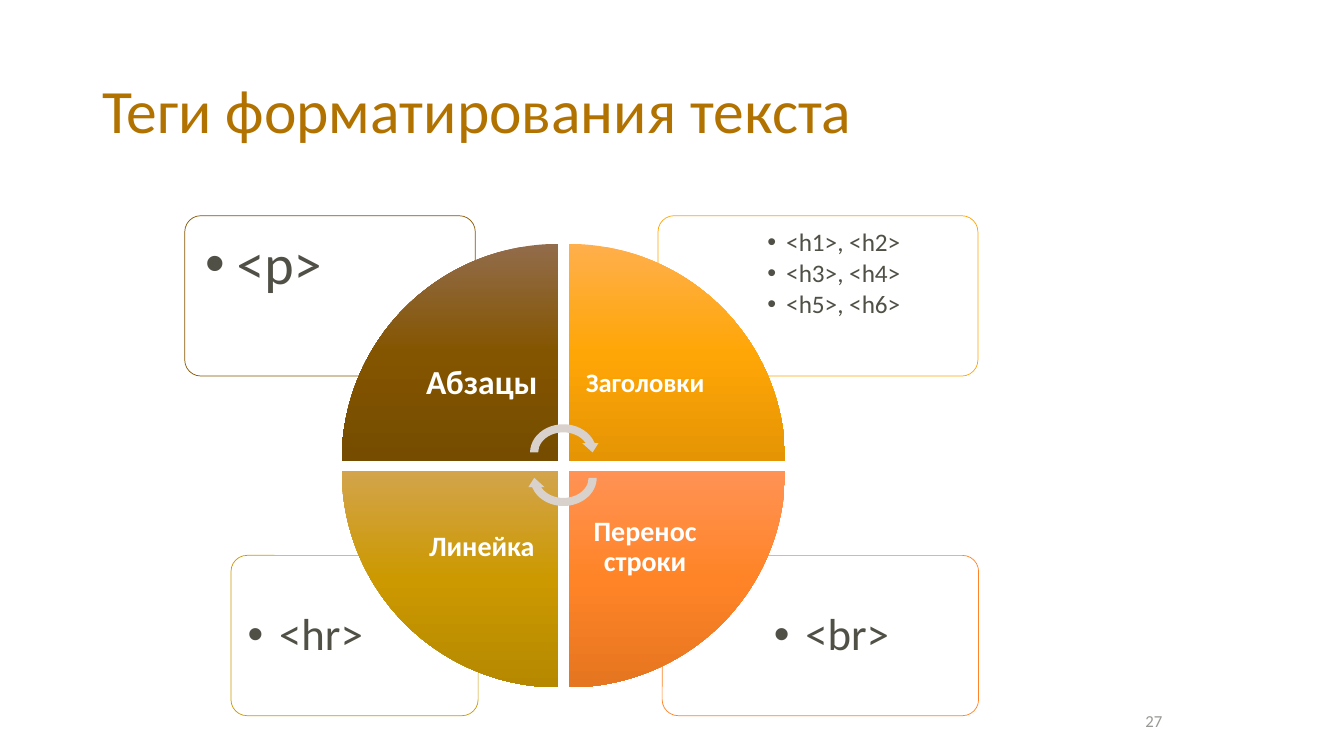
from dataclasses import dataclass

from lxml import etree
from pptx import Presentation
from pptx import util as u
from pptx.dml.color import RGBColor
from pptx.enum import shapes, text
from pptx.oxml import ns, parse_xml


@dataclass(frozen=True)
class Theme:
    font: str = "Calibri"
    title: str = "B17200"
    body: str = "505046"
    light: str = "FFFFFF"
    arrow: str = "D9D1CC"
    page: str = "989894"
    title_size: int = 44
    page_size: int = 12


@dataclass(frozen=True)
class Sector:
    label: str
    label_size: int
    label_inset: float
    tags: str
    tag_size: int
    tag_inset: float
    tag_indent: float
    column: int
    row: int
    rotation: int
    card_left: float
    card_width: float
    outline: str
    gradient: tuple[str, str, str]


@dataclass(frozen=True)
class Box:
    left: float
    top: float
    width: float
    height: float

    def lengths(self) -> list[u.Length]:
        return [u.Pt(value) for value in (self.left, self.top, self.width, self.height)]


THEME = Theme()
SECTORS = [
    Sector("Перенос строки", 20, 11.5, "<br>", 32, 9.4, 22.5, 1, 1, 180,
           473, 226, "FF8427", ("FF9254", "FF8427", "E57520")),
    Sector("Линейка", 20, 11.5, "<hr>", 32, 9.4, 22.5, 0, 1, 270,
           165, 176.5, "CC9900", ("D3A44B", "CC9900", "B58800")),
    Sector("Заголовки", 19, 10.8, "<h1>, <h2>\n<h3>, <h4>\n<h5>, <h6>", 18, 7.2, 13.5, 1, 0, 90,
           470, 228.5, "FEA608", ("FFAF4C", "FFA607", "E59404")),
    Sector("Абзацы", 24, 13.7, "<p>", 40, 12, 22.5, 0, 0, 0,
           132, 207.5, "845500", ("926C4B", "845500", "754C00")),
]

# Wheel and card geometry, in points
WHEEL_LEFT, WHEEL_TOP = 244.1, 174.2
WEDGE, PITCH, LABEL = 154.8, 162, 109.4
CARD_TOPS, CARD_HEIGHT, CARD_PAD = (154.1, 396.7), 114.5, 2.5


def add_shape(slide, kind: shapes.MSO_SHAPE, box: Box, rotation: float = 0):
    shape = slide.shapes.add_shape(kind, *box.lengths())
    shape.shadow.inherit = False
    shape.rotation = rotation
    shape.line.fill.background()
    return shape


def add_text(slide, content: str, box: Box, size: float, color: str,
             inset: float | None = None, align=text.PP_ALIGN.LEFT,
             anchor=text.MSO_ANCHOR.MIDDLE, bold: bool = False,
             spacing: float = 0.9, bullet_indent: float = 0) -> None:
    frame = slide.shapes.add_textbox(*box.lengths()).text_frame
    frame.word_wrap = True
    frame.vertical_anchor = anchor
    if inset is not None:
        frame.margin_left = frame.margin_right = u.Pt(inset)
        frame.margin_top = frame.margin_bottom = u.Pt(inset)
    frame.text = content
    for paragraph in frame.paragraphs:
        paragraph.alignment = align
        paragraph.line_spacing = spacing
        if bullet_indent:
            add_bullet(paragraph, bullet_indent)
            paragraph.space_after = u.Pt(round(size * 0.15, 1))
        for run in paragraph.runs:
            run.font.name = THEME.font
            run.font.size = u.Pt(size)
            run.font.bold = bold
            run.font.color.rgb = RGBColor.from_string(color)


def add_bullet(paragraph, indent: float) -> None:
    paragraph.level = 1
    properties = paragraph._p.get_or_add_pPr()
    properties.set("marL", str(u.Pt(indent)))
    properties.set("indent", str(-u.Pt(indent)))
    etree.SubElement(properties, ns.qn("a:buFont")).set("typeface", "Arial")
    etree.SubElement(properties, ns.qn("a:buChar")).set("char", "•")


def set_gradient(shape, colors: tuple[str, str, str]) -> None:
    stops = "".join(
        f'<a:gs pos="{index * 50000}"><a:srgbClr val="{color}"/></a:gs>'
        for index, color in enumerate(colors))
    gradient = parse_xml(
        f'<a:gradFill {ns.nsdecls("a")} rotWithShape="0"><a:gsLst>{stops}</a:gsLst>'
        '<a:lin ang="5400000" scaled="0"/></a:gradFill>')
    shape._element.spPr.find(ns.qn("a:prstGeom")).addnext(gradient)


def add_card(slide, sector: Sector) -> None:
    top = CARD_TOPS[sector.row]
    card = add_shape(slide, shapes.MSO_SHAPE.ROUNDED_RECTANGLE,
                     Box(sector.card_left, top, sector.card_width, CARD_HEIGHT))
    card.adjustments[0] = 0.1
    card.fill.solid()
    card.fill.fore_color.rgb = RGBColor.from_string(THEME.light)
    fill_color = card._element.spPr.find(ns.qn("a:solidFill"))[0]
    etree.SubElement(fill_color, ns.qn("a:alpha")).set("val", "90000")
    card.line.color.rgb = RGBColor.from_string(sector.outline)
    card.line.width = u.Pt(0.5)

    # Tags keep to the outer part of the card, clear of the wheel
    box = Box(sector.card_left + CARD_PAD + sector.column * 0.3 * sector.card_width,
              top + CARD_PAD + sector.row * 0.25 * CARD_HEIGHT,
              0.7 * sector.card_width - 2 * CARD_PAD,
              0.75 * CARD_HEIGHT - 2 * CARD_PAD)
    add_text(slide, sector.tags, box, sector.tag_size, THEME.body, sector.tag_inset,
             anchor=text.MSO_ANCHOR.TOP, bullet_indent=sector.tag_indent)


def add_wedge(slide, sector: Sector) -> None:
    left = WHEEL_LEFT + sector.column * PITCH
    top = WHEEL_TOP + sector.row * PITCH
    wedge = add_shape(slide, shapes.MSO_SHAPE.PIE_WEDGE,
                      Box(left, top, WEDGE, WEDGE), sector.rotation)
    set_gradient(wedge, sector.gradient)

    # The label sits in the corner next to the wheel's centre
    box = Box(left + (1 - sector.column) * (WEDGE - LABEL),
              top + (1 - sector.row) * (WEDGE - LABEL), LABEL, LABEL)
    add_text(slide, sector.label, box, sector.label_size, THEME.light,
             sector.label_inset, text.PP_ALIGN.CENTER, bold=True)


def main() -> None:
    presentation = Presentation()
    presentation.slide_width, presentation.slide_height = u.Pt(960), u.Pt(540)
    slide = presentation.slides.add_slide(presentation.slide_layouts[6])

    # Title
    add_text(slide, "Теги форматирования текста", Box(66, 29, 698, 104),
             THEME.title_size, THEME.title)

    # Cards behind the wheel
    for sector in SECTORS:
        add_card(slide, sector)
    for sector in SECTORS:
        add_wedge(slide, sector)

    # Arrows around the centre
    for top, rotation in ((300.2, 0), (318.2, 180)):
        arrow = add_shape(slide, shapes.MSO_SHAPE.CIRCULAR_ARROW,
                          Box(375.8, top, 53.3, 46.1), rotation)
        arrow.fill.solid()
        arrow.fill.fore_color.rgb = RGBColor.from_string(THEME.arrow)

    # Page number
    add_text(slide, "27", Box(621.4, 500.4, 216, 28.8), THEME.page_size, THEME.page,
             align=text.PP_ALIGN.RIGHT, spacing=1.0)

    presentation.save("out.pptx")


if __name__ == "__main__":
    main()
